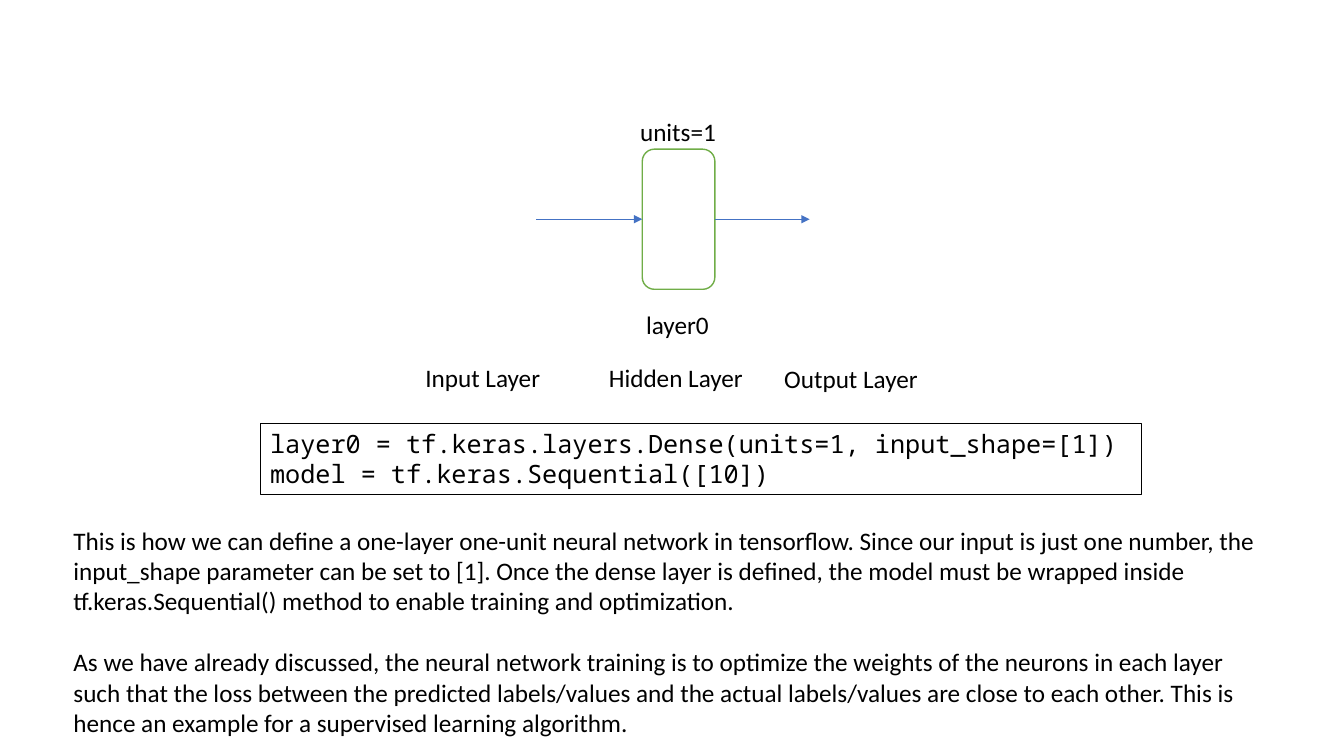
from dataclasses import dataclass

from lxml import etree
from pptx import Presentation
from pptx import util as u
from pptx.dml.color import RGBColor
from pptx.enum import shapes, text
from pptx.oxml import ns


@dataclass(frozen=True)
class Theme:
    ink: str = "000000"
    paper: str = "FFFFFF"
    green: str = "70AD47"
    blue: str = "4472C4"
    body: str = "Calibri"
    mono: str = "Noto Sans Mono"
    size: int = 18
    gap: int = 22
    thin: float = 0.5
    frame: float = 0.75
    edge: float = 1


class Board:
    cell = 0.1

    def __init__(self, slide, theme):
        self.slide = slide
        self.theme = theme

    def grid(self, *spans):
        return [u.Inches(span * self.cell) for span in spans]

    def letter(self, shape, lines, font, wrap=False, gap=0):
        frame = shape.text_frame
        frame.text = "\n".join(lines)
        frame.word_wrap = wrap
        frame.auto_size = text.MSO_AUTO_SIZE.SHAPE_TO_FIT_TEXT
        frame.vertical_anchor = text.MSO_ANCHOR.TOP
        for index, para in enumerate(frame.paragraphs):
            para.alignment = text.PP_ALIGN.LEFT
            if index and gap:
                para.space_before = u.Pt(gap)
            for run in para.runs:
                run.font.name = font
                run.font.size = u.Pt(self.theme.size)
                run.font.color.rgb = RGBColor.from_string(self.theme.ink)

    def label(self, place, *lines, wrap=False):
        box = self.slide.shapes.add_textbox(*self.grid(*place))
        self.letter(box, lines, self.theme.body, wrap, self.theme.gap)

    def block(self, kind, place, color, width, fill=None):
        shape = self.slide.shapes.add_shape(kind, *self.grid(*place))
        shape.shadow.inherit = False
        if fill:
            shape.fill.solid()
            shape.fill.fore_color.rgb = RGBColor.from_string(fill)
        else:
            shape.fill.background()
        shape.line.color.rgb = RGBColor.from_string(color)
        shape.line.width = u.Pt(width)
        return shape

    def code(self, place, *lines):
        box = self.block(shapes.MSO_SHAPE.RECTANGLE, place,
                         self.theme.ink, self.theme.frame)
        self.letter(box, lines, self.theme.mono)

    def arrow(self, start, end, row, source=None, target=None):
        line = self.slide.shapes.add_connector(
            shapes.MSO_CONNECTOR.STRAIGHT, *self.grid(start, row, end, row))
        if source:
            line.begin_connect(source, 3)
        if target:
            line.end_connect(target, 1)
        line.line.color.rgb = RGBColor.from_string(self.theme.blue)
        line.line.width = u.Pt(self.theme.thin)
        props = line.element.spPr
        etree.SubElement(props.find(ns.qn("a:ln")), ns.qn("a:tailEnd"),
                         type="triangle")
        etree.SubElement(props, ns.qn("a:effectLst"))


def main():
    deck = Presentation()
    deck.slide_width, deck.slide_height = u.Inches(13.33), u.Inches(7.5)
    theme = Theme()
    board = Board(deck.slides.add_slide(deck.slide_layouts[6]), theme)

    board.code((25.8, 42, 87.4, 7.1),
               "layer0 = tf.keras.layers.Dense(units=1, input_shape=[1])",
               "model = tf.keras.Sequential([10])")

    left, top, width, height = 63.7, 14.8, 7.2, 13.9
    layer = board.block(shapes.MSO_SHAPE.ROUNDED_RECTANGLE,
                        (left, top, width, height),
                        theme.green, theme.edge, theme.paper)
    middle = top + height / 2
    board.arrow(53.2, left, middle, target=layer)
    board.arrow(left + width, 80.3, middle, source=layer)

    for name, col, row, span in (
        ("units=1", 62.5, 11, 9.6),
        ("layer0", 63.1, 30.2, 8.3),
        ("Input Layer", 41.2, 35.5, 13.5),
        ("Hidden Layer", 59.4, 35.5, 15.5),
        ("Output Layer", 76.8, 35.6, 15.4),
    ):
        board.label((col, row, span, 4), name)

    board.label(
        (6.3, 51.6, 120.6, 22.2),
        "This is how we can define a one-layer one-unit neural network in "
        "tensorflow. Since our input is just one number, the input_shape "
        "parameter can be set to [1]. Once the dense layer is defined, the "
        "model must be wrapped inside tf.keras.Sequential() method to enable "
        "training and optimization.",
        "As we have already discussed, the neural network training is to "
        "optimize the weights of the neurons in each layer such that the loss "
        "between the predicted labels/values and the actual labels/values are "
        "close to each other. This is hence an example for a supervised "
        "learning algorithm.",
        wrap=True)

    deck.save("out.pptx")


if __name__ == "__main__":
    main()
